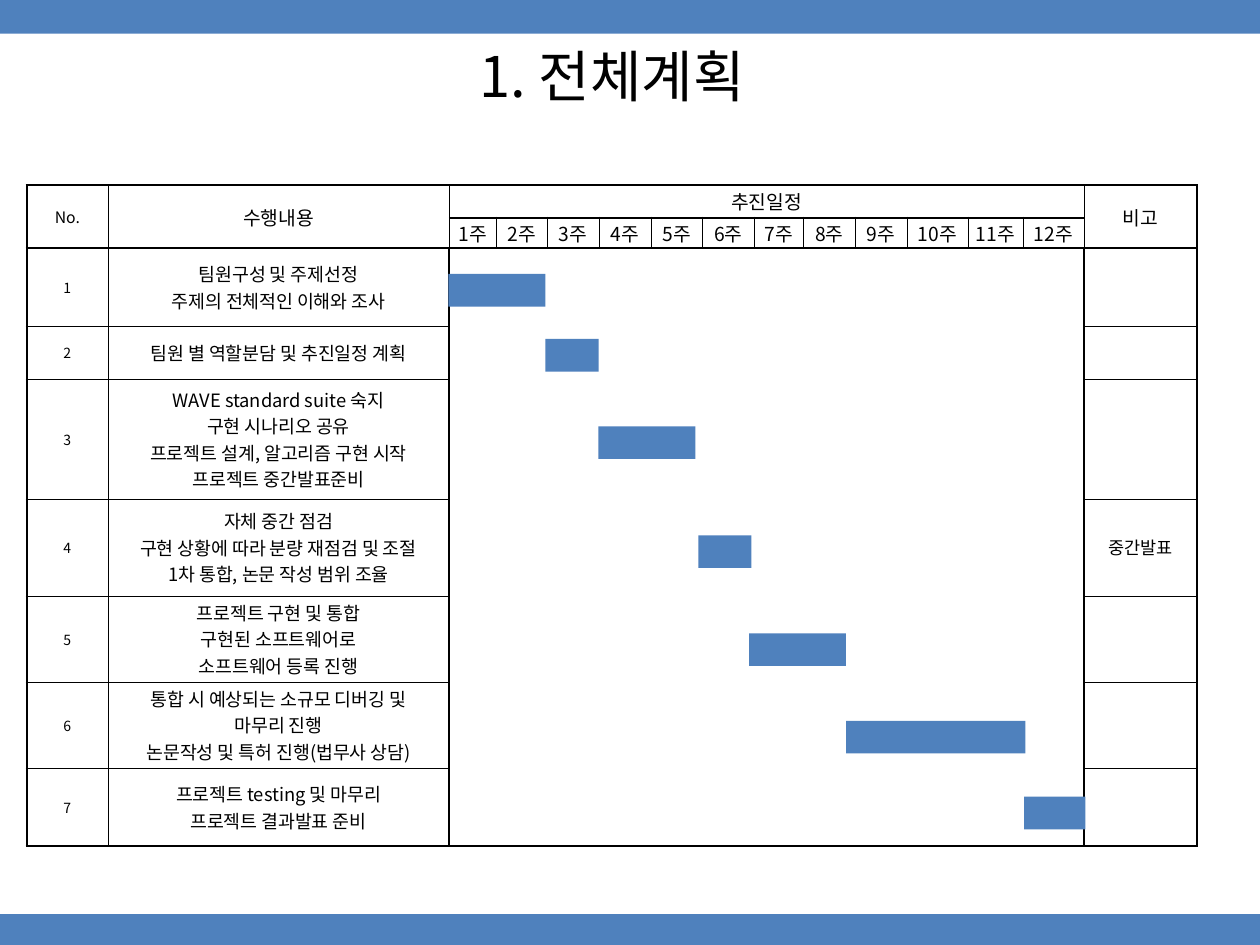
from lxml.etree import SubElement
from pptx import Presentation
from pptx.dml.color import RGBColor
from pptx.enum.shapes import MSO_SHAPE
from pptx.enum.text import MSO_ANCHOR, PP_ALIGN
from pptx.oxml.ns import qn
from pptx.util import Pt

FONT = "Noto Sans CJK KR"
BLUE = RGBColor(0x4F, 0x81, 0xBD)
WHITE = RGBColor(0xFF, 0xFF, 0xFF)
BLACK = RGBColor(0, 0, 0)
THICK, MID, THIN, NONE = 1.41, 1, 0.28, 0
PLAIN = "{2D5ABB26-0587-4C30-8999-92F81FD0307C}"  # no style, no grid

TITLE = "1. 전체계획"
HEADS = {0: ("No.", 9), 1: ("수행내용", 11), 2: ("추진일정", 11), 14: ("비고", 11)}
WEEKS = 12
FIRST, LAST = 2, 13  # columns of the schedule

# task text, remark, bar (left, top, width), merged weeks
TASKS = [
    ("팀원구성 및 주제선정\n주제의 전체적인 이해와 조사", "",
     (256.3, 156.5, 55.4), (1, 2)),
    ("팀원 별 역할분담 및 추진일정 계획", "", (311.7, 193.7, 30.4), None),
    ("WAVE standard suite 숙지\n구현 시나리오 공유\n"
     "프로젝트 설계, 알고리즘 구현 시작\n프로젝트 중간발표준비", "",
     (342, 243.6, 55.4), (4, 5)),
    ("자체 중간 점검\n구현 상황에 따라 분량 재점검 및 조절\n"
     "1차 통합, 논문 작성 범위 조율", "중간발표", (399.1, 305.9, 30.4), None),
    ("프로젝트 구현 및 통합\n구현된 소프트웨어로\n소프트웨어 등록 진행", "",
     (428.1, 361.9, 55.4), (7, 8)),
    ("통합 시 예상되는 소규모 디버깅 및\n마무리 진행\n"
     "논문작성 및 특허 진행(법무사 상담)", "", (483.5, 411.9, 102.5), (9, 11)),
    ("프로젝트 testing 및 마무리\n프로젝트 결과발표 준비", "",
     (585.2, 455.3, 35), None),
]
COLS = [46.4, 195, 26.8, 29.3, 29.6, 29.6, 29.6, 29.4, 28.2, 29.6, 29.6,
        34.8, 31.6, 34.8, 64.6]
ROWS = [18.6, 16.4, 44.6, 30.2, 68.6, 55.4, 49.2, 49.2, 44.6]
BAR = 18.7


def style(frame, size):
    for para in frame.paragraphs:
        para.alignment = PP_ALIGN.CENTER
        for run in para.runs:
            run.font.size = Pt(size)
            run.font.name = FONT
            run.font.color.rgb = BLACK
            props = run.font._element
            SubElement(props, qn("a:ea")).set("typeface", FONT)


def edges(row, col):
    """Return the left, right, top and bottom line widths of a cell."""
    end = len(ROWS) - 1
    if row < 2:
        low = MID if row == 1 and col >= FIRST else THICK
        return (THICK if col == 0 else THIN,
                THICK if col > LAST else THIN, THICK, low)
    if FIRST <= col <= LAST:
        return (MID if col == FIRST else NONE, MID if col == LAST else NONE,
                MID if row == 2 else NONE, MID if row == end else NONE)
    if col > LAST:
        return (MID, MID, MID if row == 2 else THIN,
                MID if row == end else THIN)
    return (THIN if col else THICK, MID if col else THIN,
            THICK if row == 2 else THIN, THICK if row == end else THIN)


def frame_cell(cell, widths):
    props = cell._tc.get_or_add_tcPr()
    for side, width in zip("LRTB", widths):
        line = SubElement(props, qn(f"a:ln{side}"), w=str(int(Pt(width))))
        if width:
            fill = SubElement(line, qn("a:solidFill"))
            SubElement(fill, qn("a:srgbClr"), val=str(BLACK))
        else:
            SubElement(line, qn("a:noFill"))


def fill_cell(cell, text, size):
    cell.text_frame.text = text
    style(cell.text_frame, size)


def add_bar(shapes, left, top, width, height):
    bar = shapes.add_shape(MSO_SHAPE.RECTANGLE, Pt(left), Pt(top),
                           Pt(width), Pt(height))
    bar.shadow.inherit = False
    bar.fill.solid()
    bar.fill.fore_color.rgb = BLUE
    bar.line.fill.background()


def add_plan(slide):
    shape = slide.shapes.add_table(len(ROWS), len(COLS), Pt(15.3), Pt(105.8),
                                   Pt(sum(COLS)), Pt(sum(ROWS)))
    table = shape.table
    table.first_row = table.horz_banding = False
    table._tbl.tblPr.find(qn("a:tableStyleId")).text = PLAIN
    for col, width in zip(table.columns, COLS):
        col.width = Pt(width)
    for row, height in zip(table.rows, ROWS):
        row.height = Pt(height)

    for row in range(len(ROWS)):
        for col in range(len(COLS)):
            cell = table.cell(row, col)
            cell.vertical_anchor = MSO_ANCHOR.MIDDLE
            cell.margin_left = cell.margin_right = Pt(0.7)
            cell.margin_top = cell.margin_bottom = Pt(0.7)
            frame_cell(cell, edges(row, col))
            if row > 1 and FIRST <= col <= LAST:
                cell.fill.solid()
                cell.fill.fore_color.rgb = WHITE
            else:
                cell.fill.background()

    for col, (text, size) in HEADS.items():
        cell = table.cell(0, col)
        cell.merge(table.cell(0, LAST) if col == FIRST else table.cell(1, col))
        fill_cell(cell, text, size)
    for week in range(WEEKS):
        fill_cell(table.cell(1, FIRST + week), f"{week + 1}주", 11)
    for num, (text, note, _, span) in enumerate(TASKS, 1):
        row = num + 1
        fill_cell(table.cell(row, 0), str(num), 8)
        fill_cell(table.cell(row, 1), text, 10.5)
        if note:
            fill_cell(table.cell(row, LAST + 1), note, 10)
        if span:
            start, stop = (FIRST + week - 1 for week in span)
            table.cell(row, start).merge(table.cell(row, stop))


def main():
    deck = Presentation()
    deck.slide_width, deck.slide_height = Pt(720), Pt(540)
    slide = deck.slides.add_slide(deck.slide_layouts[6])
    add_plan(slide)
    group = slide.shapes.add_group_shape()
    for _, _, place, _ in TASKS:
        add_bar(group.shapes, *place, BAR)

    box = slide.shapes.add_textbox(Pt(39.6), Pt(28), Pt(620.6), Pt(62.6))
    frame = box.text_frame
    frame.word_wrap = True
    frame.margin_top = frame.margin_bottom = 0
    frame.text = TITLE
    frame.paragraphs[0].line_spacing = 0.9
    style(frame, 32)

    add_bar(slide.shapes, 0, 0, 720, 19.2)
    add_bar(slide.shapes, 0, 522.4, 720, 17.6)
    deck.save("out.pptx")


if __name__ == "__main__":
    main()
